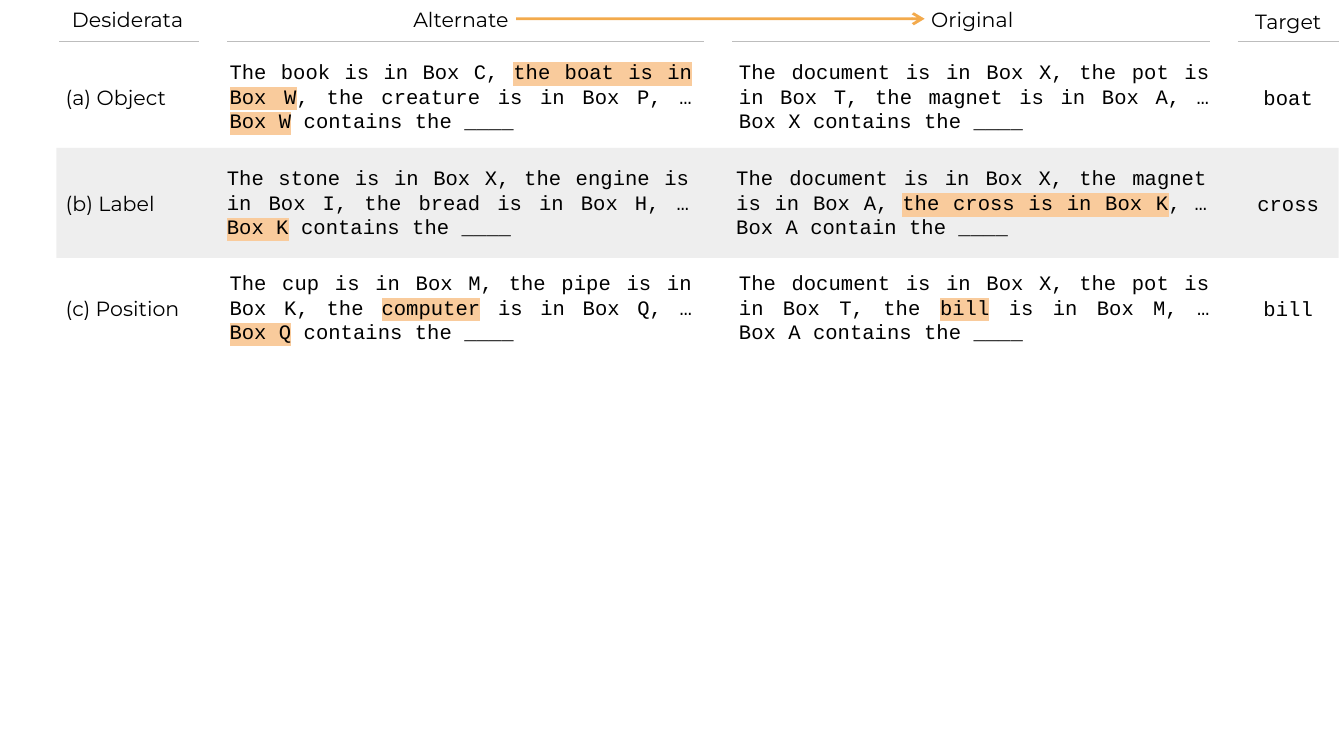
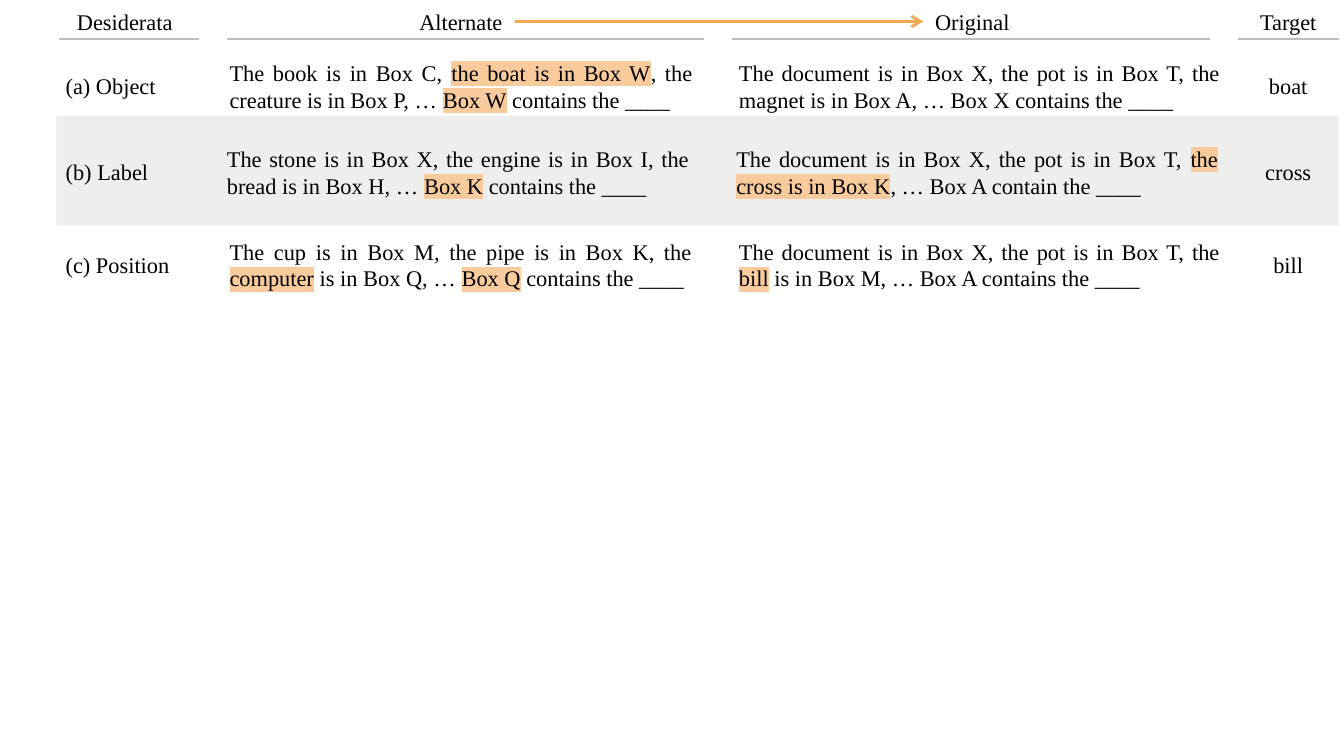
from dataclasses import dataclass
from typing import Any

import pptx
import pptx.dml.color
import pptx.enum.shapes
import pptx.enum.text
import pptx.oxml
import pptx.oxml.ns
import pptx.util
from pptx.util import Inches

COLORS = {
    "text": "000000",
    "highlight": "F9CB9C",
    "arrow": "EF8600",
    "rule": "BDBDBD",
    "band": "DEDEDE",
}
ALIGN = pptx.enum.text.PP_ALIGN
SLIDE_WIDTH = Inches(10)
SLIDE_HEIGHT = SLIDE_WIDTH * 9 // 16
MARK = "|"
BAND_LEFT, BAND_WIDTH, BAND_HEIGHT = 0.42, 9.54, 0.82
BANDED_SHIFT = -0.02
ROW_LABELS = ("(a) Object", "(b) Label", "(c) Position")
TARGETS = ("boat", "cross", "bill")


@dataclass(frozen=True)
class Column:
    heading: str
    left: float
    width: float
    rule_start: float
    rule_end: float


@dataclass(frozen=True)
class Row:
    top: float
    alternate: str
    original: str
    band_top: float | None = None


@dataclass(frozen=True)
class Figure:
    label_font: str
    passage_font: str
    size: int
    heading_top: float
    target_heading_top: float
    line_height: float
    passage_height: float
    original_width: float
    label_offset: float
    target_offset: float
    rule_y: float
    arrow_y: float
    arrow_start: float
    arrow_end: float
    rows: tuple[Row, ...]


COLUMNS = (
    Column("Desiderata ", 0.42, 1.06, 0.44, 1.48),
    Column("Alternate", 1.63, 3.6, 1.69, 5.24),
    Column("Original", 5.51, 3.45, 5.45, 9),
    Column("Target", 9.14, 0.89, 9.21, 9.96),
)

FIGURES = (
    Figure(
        "Montserrat", "Courier New", 11, 0, 0.02, 0.19, 0.66, 3.7,
        0.24, 0.19, 0.31, 0.14, 3.84, 6.88,
        (
            Row(
                0.39,
                "The book is in Box C, |the boat is in Box W|, the creature is in Box P, … |Box W| contains the ____",
                "The document is in Box X, the pot is in Box T, the magnet is in Box A, … Box X contains the ____",
            ),
            Row(
                1.18,
                "The stone is in Box X, the engine is in Box I, the bread is in Box H, … |Box K| contains the ____",
                "The document is in Box X, the magnet is in Box A, |the cross is in Box K|, … Box A contain the ____",
                1.1,
            ),
            Row(
                1.96,
                "The cup is in Box M, the pipe is in Box K, the |computer| is in Box Q, … |Box Q| contains the ____",
                "The document is in Box X, the pot is in Box T, the |bill| is in Box M, …\nBox A contains the ____",
            ),
        ),
    ),
    Figure(
        "Times New Roman", "Times New Roman", 12, 0.01, 0.01, 0.2, 0.5, 3.78,
        0.15, 0.1, 0.29, 0.16, 3.83, 6.87,
        (
            Row(
                0.39,
                "The book is in Box C, |the boat is in Box W|, the creature is in Box P, … |Box W| contains the ____",
                "The document is in Box X, the pot is in Box T, the magnet is in Box A, … Box X contains the ____",
            ),
            Row(
                1.03,
                "The stone is in Box X, the engine is in Box I, the bread is in Box H, … |Box K| contains the ____",
                "The document is in Box X, the pot is in Box T, |the cross is in Box K|, … Box A contain the ____",
                0.86,
            ),
            Row(
                1.72,
                "The cup is in Box M, the pipe is in Box K, the |computer| is in Box Q, … |Box Q| contains the ____",
                "The document is in Box X, the pot is in Box T, the\n|bill| is in Box M, … Box A contains the ____",
            ),
        ),
    ),
)


def apply_format(target: Any, values: dict[str, Any]) -> None:
    for name, value in values.items():
        setattr(target, name, value)


def rgb(key: str) -> pptx.dml.color.RGBColor:
    return pptx.dml.color.RGBColor.from_string(COLORS[key])


def add_child(parent: Any, tag: str, **attributes: str) -> Any:
    child = parent.makeelement(pptx.oxml.ns.qn(tag), attributes)
    parent.append(child)
    return child


def set_opacity(fill: Any, percent: int) -> None:
    color = fill._xPr.find(".//" + pptx.oxml.ns.qn("a:srgbClr"))
    add_child(color, "a:alpha", val=str(percent * 1000))


def highlight(run: Any) -> None:
    properties = run._r.get_or_add_rPr()
    marker = add_child(properties, "a:highlight")
    add_child(marker, "a:srgbClr", val=COLORS["highlight"])
    properties.find(pptx.oxml.ns.qn("a:latin")).addprevious(marker)


def add_text(slide: Any, text: str, left: float, top: float, width: float, height: float,
             font: str, size: int, alignment: Any, inset: float = 0.05) -> None:
    frame = slide.shapes.add_textbox(Inches(left), Inches(top), Inches(width), Inches(height)).text_frame
    apply_format(frame, {
        "word_wrap": True,
        "auto_size": pptx.enum.text.MSO_AUTO_SIZE.SHAPE_TO_FIT_TEXT,
        "margin_left": Inches(0.1),
        "margin_right": Inches(0.1),
        "margin_top": Inches(inset),
        "margin_bottom": Inches(inset),
    })
    paragraph = frame.paragraphs[0]
    apply_format(paragraph, {"alignment": alignment, "line_spacing": pptx.util.Pt(1.2 * size)})
    for part_index, part in enumerate(text.split(MARK)):
        for line_index, line in enumerate(part.split("\n")):
            if line_index:
                paragraph.add_line_break()
            if not line:
                continue
            run = paragraph.add_run()
            run.text = line
            apply_format(run.font, {"size": pptx.util.Pt(size), "name": font})
            run.font.color.rgb = rgb("text")
            if part_index % 2:
                highlight(run)


def add_line(slide: Any, start: float, end: float, y: float, color: str, weight: float) -> Any:
    connector = slide.shapes.add_connector(
        pptx.enum.shapes.MSO_CONNECTOR.STRAIGHT, Inches(start), Inches(y), Inches(end), Inches(y))
    connector.line.color.rgb = rgb(color)
    connector.line.width = pptx.util.Pt(weight)
    add_child(connector._element.spPr, "a:effectLst")
    return connector


def add_arrow(slide: Any, figure: Figure) -> None:
    arrow = add_line(slide, figure.arrow_start, figure.arrow_end, figure.arrow_y, "arrow", 1.5)
    set_opacity(arrow.line.fill, 70)
    add_child(arrow.line._get_or_add_ln(), "a:tailEnd", type="arrow")


def add_band(slide: Any, top: float) -> None:
    band = slide.shapes.add_shape(
        pptx.enum.shapes.MSO_SHAPE.RECTANGLE,
        Inches(BAND_LEFT), Inches(top), Inches(BAND_WIDTH), Inches(BAND_HEIGHT))
    band.shadow.inherit = False
    band.fill.solid()
    band.fill.fore_color.rgb = rgb("band")
    set_opacity(band.fill, 50)
    band.line.fill.background()


def add_row(slide: Any, figure: Figure, row: Row, label: str, target: str) -> None:
    shift = 0.0
    if row.band_top is not None:
        add_band(slide, row.band_top)
        shift = BANDED_SHIFT
    add_text(slide, label, 0.39, row.top + figure.label_offset, 1.43, figure.line_height,
             figure.label_font, figure.size, ALIGN.LEFT, inset=0)
    add_text(slide, target, 9.16, row.top + figure.target_offset, 0.85, figure.line_height + 0.1,
             figure.passage_font, figure.size, ALIGN.CENTER)
    for passage, left, width in ((row.original, 5.4, figure.original_width), (row.alternate, 1.61, 3.64)):
        add_text(slide, passage, left + shift, row.top, width, figure.passage_height,
                 figure.passage_font, figure.size, ALIGN.JUSTIFY)


def add_figure(presentation: Any, figure: Figure) -> None:
    slide = presentation.slides.add_slide(presentation.slide_layouts[6])
    for column in COLUMNS:
        top = figure.target_heading_top if column is COLUMNS[-1] else figure.heading_top
        add_text(slide, column.heading, column.left, top, column.width, figure.line_height + 0.1,
                 figure.label_font, figure.size, ALIGN.CENTER)
    add_arrow(slide, figure)
    for row, label, target in zip(figure.rows, ROW_LABELS, TARGETS):
        add_row(slide, figure, row, label, target)
    for column in COLUMNS:
        add_line(slide, column.rule_start, column.rule_end, figure.rule_y, "rule", 0.75)


def main() -> None:
    presentation = pptx.Presentation()
    apply_format(presentation, {"slide_width": SLIDE_WIDTH, "slide_height": SLIDE_HEIGHT})
    for figure in FIGURES:
        add_figure(presentation, figure)
    presentation.save("out.pptx")


if __name__ == "__main__":
    main()
